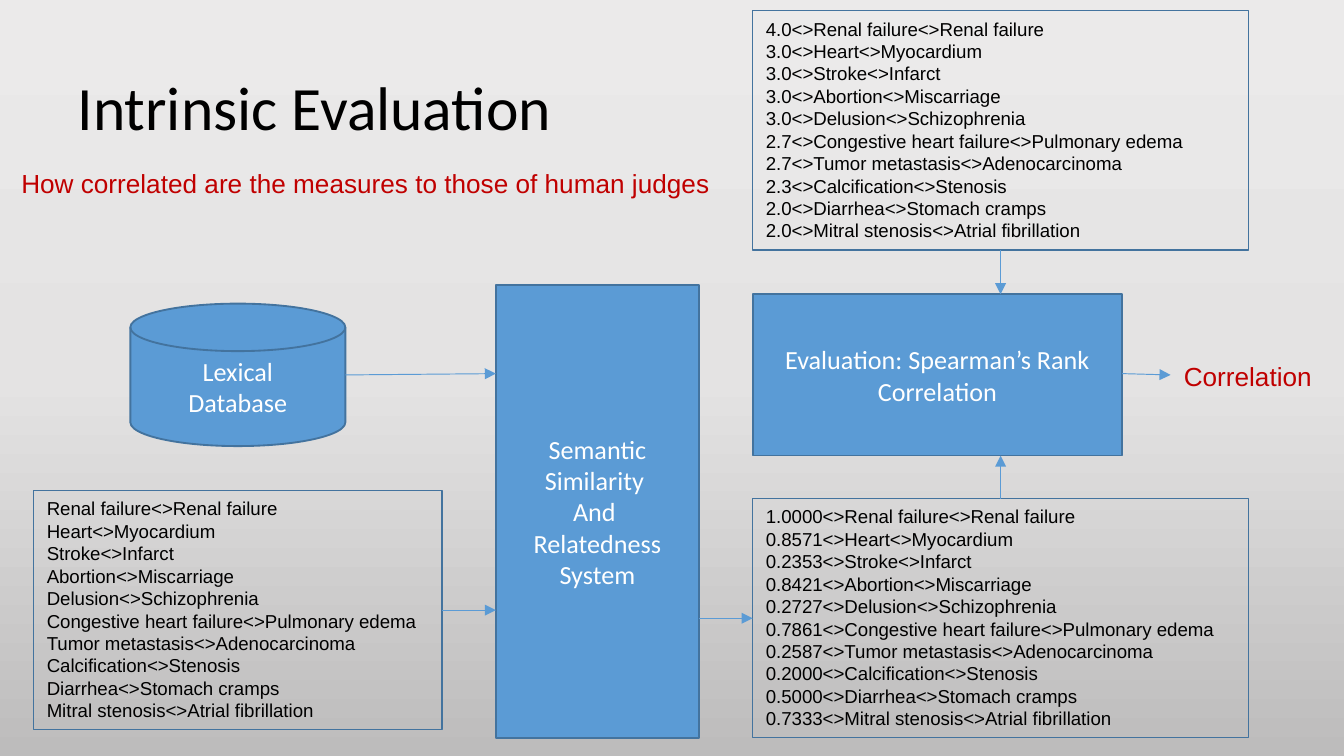
from copy import deepcopy
from dataclasses import dataclass

from pptx import Presentation
from pptx import util as u
from pptx.dml.color import RGBColor
from pptx.enum import shapes, text
from pptx.oxml import ns, xmlchemy

COLUMNS = 100
ROWS = COLUMNS * 9 / 16
CELL = u.Inches(0.1)

BLUE, EDGE, RED, BLACK, WHITE = "5B9BD5", "43739E", "C00000", "000000", "FFFFFF"
BACKGROUND = ((0, "EBEAEA"), (0.5, "E4E3E3"), (1, "BDBCBC"))

TERM_PAIRS = (
    "Renal failure<>Renal failure",
    "Heart<>Myocardium",
    "Stroke<>Infarct",
    "Abortion<>Miscarriage",
    "Delusion<>Schizophrenia",
    "Congestive heart failure<>Pulmonary edema",
    "Tumor metastasis<>Adenocarcinoma",
    "Calcification<>Stenosis",
    "Diarrhea<>Stomach cramps",
    "Mitral stenosis<>Atrial fibrillation",
)
HUMAN_SCORES = "4.0 3.0 3.0 3.0 3.0 2.7 2.7 2.3 2.0 2.0".split()
SYSTEM_SCORES = ("1.0000 0.8571 0.2353 0.8421 0.2727 "
                 "0.7861 0.2587 0.2000 0.5000 0.7333").split()


@dataclass(frozen=True)
class Box:
    """An area in grid columns and rows, with its words."""
    column: float
    row: float
    columns: float
    rows: float
    words: str

    @property
    def right(self) -> float:
        return self.column + self.columns

    @property
    def bottom(self) -> float:
        return self.row + self.rows

    @property
    def area(self) -> tuple:
        return tuple(grid(n) for n in (self.column, self.row, self.columns, self.rows))


@dataclass(frozen=True)
class Style:
    size: float
    font: str
    color: str
    alignment: text.PP_ALIGN = text.PP_ALIGN.LEFT
    anchor: text.MSO_ANCHOR = text.MSO_ANCHOR.TOP
    wrap: bool = True
    grow: bool = False


TITLE = Style(33, "Calibri", BLACK, anchor=text.MSO_ANCHOR.BOTTOM)
LIST = Style(10, "Arial", BLACK, grow=True)
STAGE = Style(14, "Calibri", WHITE, text.PP_ALIGN.CENTER, text.MSO_ANCHOR.MIDDLE)
REMARK = Style(14, "Arial", RED, wrap=False, grow=True)


def grid(cells: float) -> int:
    return round(cells * CELL)


def color(value: str) -> RGBColor:
    return RGBColor.from_string(value)


def scored(scores: list) -> str:
    return "\n".join(f"{score}<>{pair}" for score, pair in zip(scores, TERM_PAIRS))


def paint_background(slide) -> None:
    fill = slide.background.fill
    fill.gradient()
    stops = slide._element.find(".//" + ns.qn("a:gsLst"))
    stops.append(deepcopy(stops[0]))
    for stop, (position, value) in zip(fill.gradient_stops, BACKGROUND):
        stop.position = position
        stop.color.rgb = color(value)
    fill.gradient_angle = 270


def write(shape, words: str, style: Style) -> None:
    frame = shape.text_frame
    frame.text = words
    frame.word_wrap = style.wrap
    frame.vertical_anchor = style.anchor
    frame.auto_size = (text.MSO_AUTO_SIZE.SHAPE_TO_FIT_TEXT if style.grow
                       else text.MSO_AUTO_SIZE.NONE)
    for paragraph in frame.paragraphs:
        paragraph.alignment = style.alignment
        for run in paragraph.runs:
            run.font.size = u.Pt(style.size)
            run.font.name = style.font
            run.font.color.rgb = color(style.color)


def add_label(slide, box: Box, style: Style):
    label = slide.shapes.add_textbox(*box.area)
    write(label, box.words, style)
    return label


def add_panel(slide, box: Box, style: Style, fill: str = "", line: float = 1,
              kind: shapes.MSO_SHAPE = shapes.MSO_SHAPE.RECTANGLE) -> None:
    panel = slide.shapes.add_shape(kind, *box.area)
    panel.shadow.inherit = False
    if fill:
        panel.fill.solid()
        panel.fill.fore_color.rgb = color(fill)
    else:
        panel.fill.background()
    panel.line.color.rgb = color(EDGE)
    panel.line.width = u.Pt(line)
    write(panel, box.words, style)


def add_arrow(slide, start: tuple, end: tuple) -> None:
    arrow = slide.shapes.add_connector(
        shapes.MSO_CONNECTOR.STRAIGHT, *(grid(n) for n in start + end))
    arrow.line.color.rgb = color(BLUE)
    arrow.line.width = u.Pt(0.5)
    head = xmlchemy.OxmlElement("a:tailEnd")
    head.set("type", "triangle")
    arrow.line._get_or_add_ln().append(head)
    arrow._element.spPr.append(xmlchemy.OxmlElement("a:effectLst"))


def main() -> None:
    presentation = Presentation()
    presentation.slide_width = grid(COLUMNS)
    presentation.slide_height = grid(ROWS)
    slide = presentation.slides.add_slide(presentation.slide_layouts[6])
    paint_background(slide)

    title = Box(4.8, 2.3, 90, 9.4, "Intrinsic Evaluation")
    question = Box(0.6, 12, 53.5, 3.4,
                   "How correlated are the measures to those of human judges")
    pairs = Box(2.5, 36.5, 30.4, 17.8, "\n".join(TERM_PAIRS))
    system = Box(36.9, 21.2, 15.1, 33.7,
                 "Semantic\nSimilarity \nAnd \nRelatedness\nSystem")
    database = Box(9.7, 22.6, 16, 10.6, "Lexical\nDatabase")
    measured = Box(56, 37.1, 36.9, 17.8, scored(SYSTEM_SCORES))
    evaluation = Box(56, 21.9, 27.5, 12, "Evaluation: Spearman’s Rank Correlation")
    judged = Box(56, 0.8, 36.9, 17.8, scored(HUMAN_SCORES))
    correlation = Box(87.1, 26.3, 11.6, 3.4, "Correlation")

    heading = add_label(slide, title, TITLE)
    heading.text_frame.paragraphs[0].line_spacing = 0.9
    heading.text_frame.margin_top = heading.text_frame.margin_bottom = grid(1)
    for box in (pairs, measured, judged):
        add_panel(slide, box, LIST, line=0.75)
    for box in (system, evaluation):
        add_panel(slide, box, STAGE, BLUE)
    add_panel(slide, database, STAGE, BLUE,
              kind=shapes.MSO_SHAPE.FLOWCHART_MAGNETIC_DISK)
    for box in (question, correlation):
        add_label(slide, box, REMARK)

    score_column = judged.column + judged.columns / 2
    for start, end in (
        ((database.right, 27.9), (system.column, 27.8)),
        ((pairs.right, 45.4), (system.column, 45.4)),
        ((system.right, 46), (measured.column, 46)),
        ((score_column, measured.row), (score_column, evaluation.bottom)),
        ((score_column, judged.bottom), (score_column, evaluation.row)),
        ((evaluation.right, 27.8), (correlation.column, 27.9)),
    ):
        add_arrow(slide, start, end)

    presentation.save("out.pptx")


if __name__ == "__main__":
    main()
